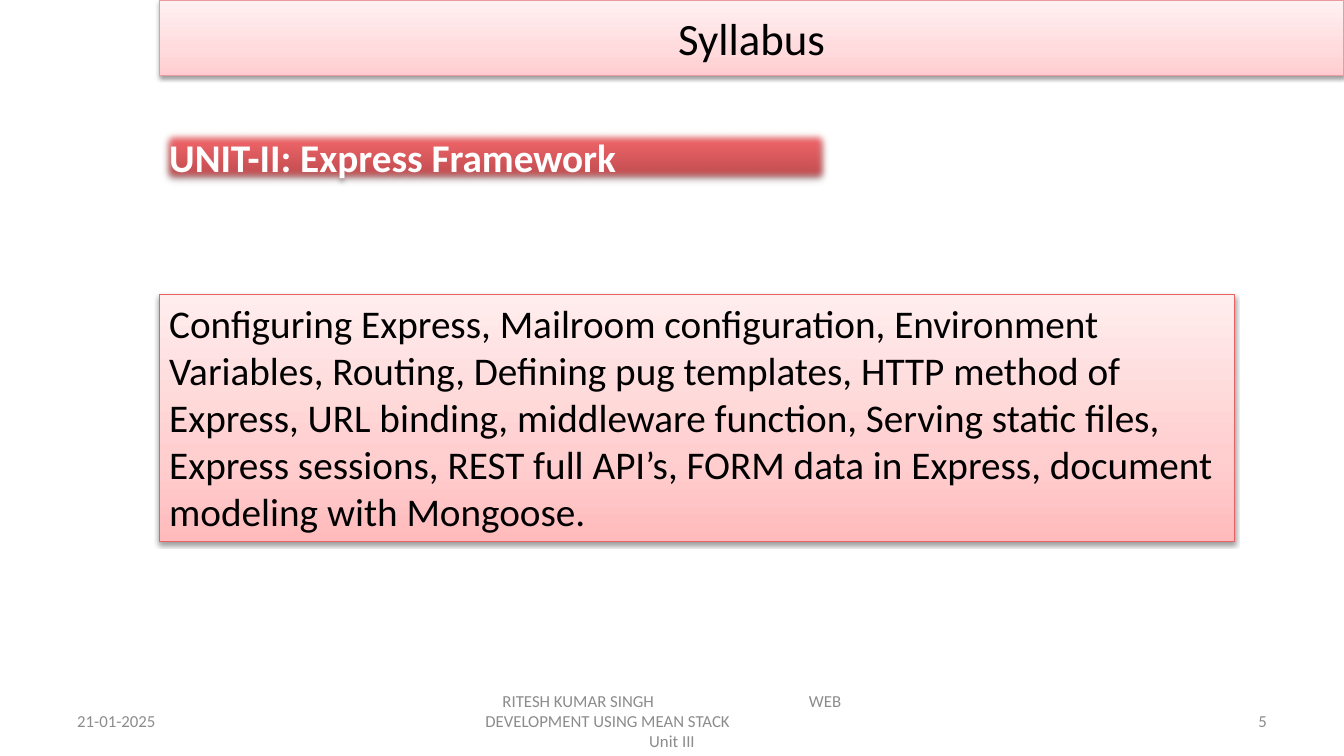
import dataclasses

import lxml.etree
import pptx
import pptx.dml.color
import pptx.enum.shapes
import pptx.enum.text
import pptx.oxml
import pptx.oxml.ns
import pptx.util

ALIGN = pptx.enum.text.PP_ALIGN
ANCHOR = pptx.enum.text.MSO_ANCHOR
qn = pptx.oxml.ns.qn


@dataclasses.dataclass(frozen=True)
class Theme:
    font: str = "Calibri"
    black: str = "000000"
    white: str = "FFFFFF"
    gray: str = "8C8C8C"
    title_size: int = 32
    body_size: int = 28
    footer_size: int = 12
    title_line: str = "E89CA0"
    body_line: str = "E66265"
    title_fill: tuple = ((0, "FFCDCF"), (35, "FFDBDD"), (100, "FFF1F2"))
    unit_fill: tuple = ((0, "B44649"), (80, "F16569"), (100, "F56367"))
    body_fill: tuple = ((0, "FFBBBC"), (35, "FFCFD0"), (100, "FFEDED"))


THEME = Theme()
WIDTH, HEIGHT = 13.33, 7.5
LEFT = 1.58


def inches(box):
    return [pptx.util.Inches(length) for length in box]


def color(value):
    return pptx.dml.color.RGBColor.from_string(value)


def element(parent, tag, **attributes):
    child = lxml.etree.SubElement(parent, qn(tag))
    for name, value in attributes.items():
        child.set(name, str(value))
    return child


def add_run(paragraph, text, size, ink, bold=False):
    run = paragraph.add_run()
    run.text = text
    run.font.name = THEME.font
    run.font.size = pptx.util.Pt(size)
    run.font.bold = bold
    run.font.color.rgb = color(ink)


def gradient_fill(shape, stops):
    shape.fill.gradient()
    gradient = shape._element.spPr.find(qn("a:gradFill"))
    for child in list(gradient):
        gradient.remove(child)
    stop_list = element(gradient, "a:gsLst")
    for position, value in stops:
        stop = element(stop_list, "a:gs", pos=position * 1000)
        element(stop, "a:srgbClr", val=value)
    element(gradient, "a:lin", ang=270 * 60000, scaled=0)


def add_effects(shape, opacity, distance, soft_edge):
    shape.shadow.inherit = False
    effects = shape._element.spPr.find(qn("a:effectLst"))
    shadow = element(effects, "a:outerShdw", blurRad=pptx.util.Pt(3.1),
                     dist=pptx.util.Pt(distance), dir=90 * 60000, rotWithShape=0)
    shadow_color = element(shadow, "a:srgbClr", val=THEME.black)
    element(shadow_color, "a:alpha", val=opacity * 1000)
    if soft_edge:
        element(effects, "a:softEdge", rad=pptx.util.Pt(soft_edge))


def add_panel(slide, box, text, stops, size, ink, line=None, align=ALIGN.LEFT,
              anchor=ANCHOR.TOP, bold=False, opacity=38, distance=1.6, soft_edge=0):
    shape = slide.shapes.add_shape(pptx.enum.shapes.MSO_SHAPE.RECTANGLE, *inches(box))
    gradient_fill(shape, stops)
    if line:
        shape.line.color.rgb = color(line)
        shape.line.width = pptx.util.Pt(0.75)
    else:
        shape.line.fill.background()
    add_effects(shape, opacity, distance, soft_edge)
    frame = shape.text_frame
    frame.word_wrap = True
    frame.vertical_anchor = anchor
    paragraph = frame.paragraphs[0]
    paragraph.alignment = align
    add_run(paragraph, text, size, ink, bold)


def add_title(slide, box):
    add_panel(slide, box, "Syllabus", THEME.title_fill, THEME.title_size, THEME.black,
              line=THEME.title_line, align=ALIGN.CENTER, anchor=ANCHOR.MIDDLE)


def add_unit(slide, box):
    add_panel(slide, box, "UNIT-II: Express Framework", THEME.unit_fill, THEME.body_size,
              THEME.white, bold=True, opacity=35, distance=1.8, soft_edge=6)


def add_topics(slide, box):
    topics = (
        "Configuring Express, Mailroom configuration, Environment Variables, Routing, "
        "Defining pug templates, HTTP method of Express, URL binding, middleware function, "
        "Serving static files, Express sessions, REST full API’s, FORM data in Express, "
        "document modeling with Mongoose."
    )
    add_panel(slide, box, topics, THEME.body_fill, THEME.body_size, THEME.black,
              line=THEME.body_line)


def add_footer_text(slide, box, lines):
    frame = slide.shapes.add_textbox(*inches(box)).text_frame
    frame.word_wrap = True
    frame.vertical_anchor = ANCHOR.MIDDLE
    for index, (text, align, tabs) in enumerate(lines):
        paragraph = frame.add_paragraph() if index else frame.paragraphs[0]
        paragraph.alignment = align
        if tabs:
            tab_list = element(paragraph._p.get_or_add_pPr(), "a:tabLst")
            for tab in tabs:
                element(tab_list, "a:tab", pos=pptx.util.Inches(tab), algn="l")
        add_run(paragraph, text, THEME.footer_size, THEME.gray)


def add_footer(slide, box):
    left, top, width, height = box
    side, middle = 3.11, 4.22
    add_footer_text(slide, (left, top, side, height), [("21-01-2025", ALIGN.LEFT, ())])
    add_footer_text(slide, (left + (width - middle) / 2, top, middle, height), [
        ("\tRITESH KUMAR SINGH\tWEB", ALIGN.LEFT, (0.33, 3.37)),
        ("\tDEVELOPMENT USING MEAN STACK", ALIGN.LEFT, (0.16,)),
        ("Unit III", ALIGN.CENTER, ()),
    ])
    add_footer_text(slide, (left + width - side, top, side, height),
                    [("5", ALIGN.RIGHT, ())])


def main():
    presentation = pptx.Presentation()
    presentation.slide_width, presentation.slide_height = inches((WIDTH, HEIGHT))
    slide = presentation.slides.add_slide(presentation.slide_layouts[6])
    add_footer(slide, (WIDTH * 0.05, 6.95, WIDTH * 0.9, 0.4))
    add_title(slide, (LEFT, 0, WIDTH - LEFT, HEIGHT * 0.1))
    add_unit(slide, (LEFT, 1.27, WIDTH * 0.5, 0.57))
    add_topics(slide, (LEFT, 2.92, WIDTH * 0.8, 2.45))
    presentation.save("out.pptx")


if __name__ == "__main__":
    main()
